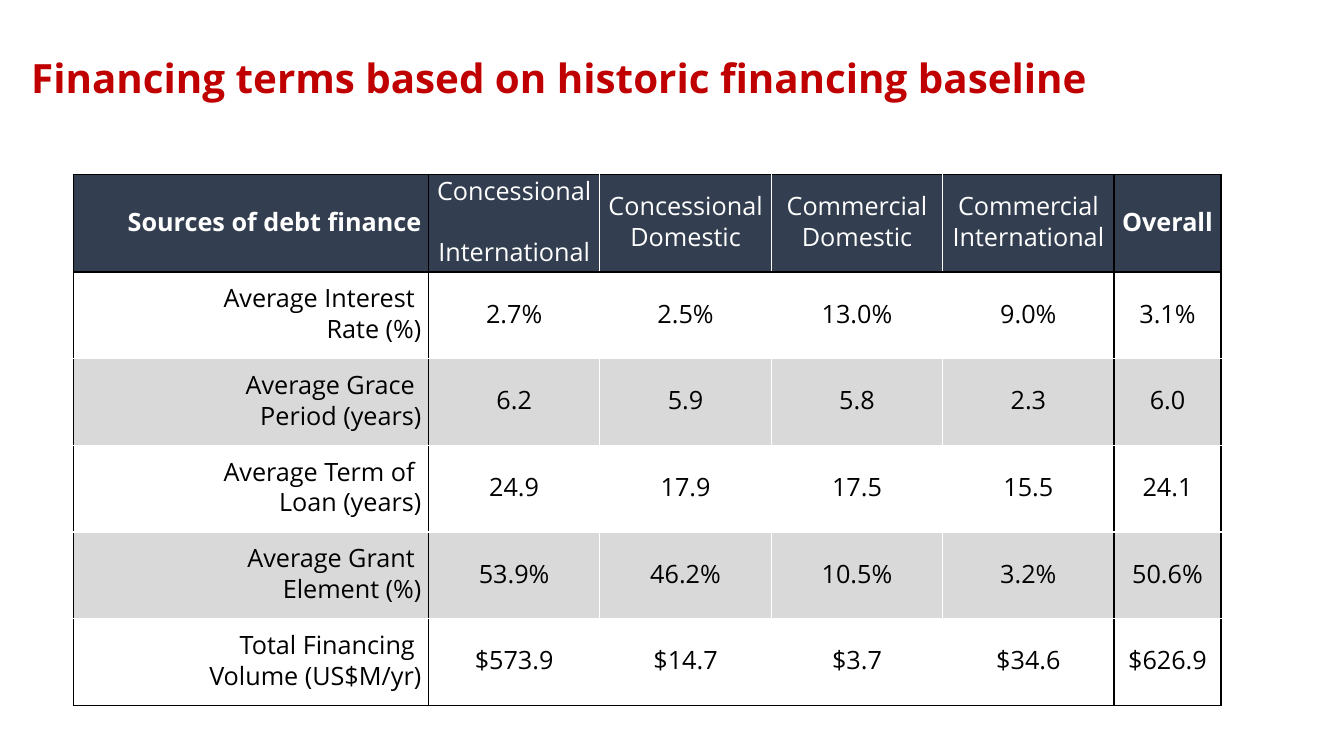
from lxml.etree import SubElement
from pptx import Presentation
from pptx.dml.color import RGBColor
from pptx.enum.text import MSO_ANCHOR as Anchor, PP_ALIGN as Align
from pptx.oxml.ns import qn
from pptx.util import Inches, Pt

RED = RGBColor(0xC0, 0x00, 0x00)
NAVY = RGBColor(0x33, 0x3F, 0x50)
GREY = RGBColor(0xD9, 0xD9, 0xD9)
WHITE = RGBColor(0xFF, 0xFF, 0xFF)
BLACK = RGBColor(0x00, 0x00, 0x00)


def write(frame, text, size=18, color=BLACK, bold=False, align=Align.CENTER, space=Pt(21.8)):
    para = frame.paragraphs[0]
    para.alignment = align
    para.line_spacing = space
    for i, line in enumerate(text.split("|")):
        if i:
            para.add_line_break()
        if line:
            run = para.add_run()
            run.text = line
            run.font.name = "Open Sans"
            run.font.size = Pt(size)
            run.font.bold = bold
            run.font.color.rgb = color


def border(cell, side, color):
    line = SubElement(cell._tc.get_or_add_tcPr(), qn("a:ln" + side), w=str(Pt(1)))
    fill = SubElement(line, qn("a:solidFill"))
    SubElement(fill, qn("a:srgbClr"), val=str(color))


deck = Presentation()
deck.slide_width = Inches(13.33)
deck.slide_height = Inches(7.5)
slide = deck.slides.add_slide(deck.slide_layouts[5])

title = slide.shapes.title
title.left, title.top = Inches(0.21), Inches(0.4)
title.width, title.height = Inches(11.5), Inches(0.79)
title.text_frame.vertical_anchor = Anchor.MIDDLE
write(title.text_frame, "Financing terms based on historic financing baseline",
      size=28.8, color=RED, bold=True, align=Align.LEFT, space=0.9)

terms = [
    ["Sources of debt finance", "Concessional||International", "Concessional Domestic",
     "Commercial Domestic", "Commercial International", "Overall"],
    ["Average Interest |Rate (%)", "2.7%", "2.5%", "13.0%", "9.0%", "3.1%"],
    ["Average Grace |Period (years)", "6.2", "5.9", "5.8", "2.3", "6.0"],
    ["Average Term of |Loan (years)", "24.9", "17.9", "17.5", "15.5", "24.1"],
    ["Average Grant |Element (%)", "53.9%", "46.2%", "10.5%", "3.2%", "50.6%"],
    ["Total Financing |Volume (US$M/yr)", "$573.9", "$14.7", "$3.7", "$34.6", "$626.9"],
]
widths = [3.52] + [1.7] * 4 + [1.06]
heights = [0.48] + [0.86] * 5
rows, cols = len(heights), len(widths)
table = slide.shapes.add_table(rows, cols, Inches(0.73), Inches(1.73),
                               Inches(sum(widths)), Inches(sum(heights))).table
for col, width in zip(table.columns, widths):
    col.width = Inches(width)
for row, height in zip(table.rows, heights):
    row.height = Inches(height)

across = [BLACK, BLACK] + [WHITE] * 4 + [BLACK]
down = [BLACK, BLACK] + [WHITE] * 3 + [BLACK, BLACK]
fills = [NAVY, WHITE, GREY, WHITE, GREY, WHITE]
for r, row in enumerate(terms):
    for c, text in enumerate(row):
        cell = table.cell(r, c)
        cell.vertical_anchor = Anchor.MIDDLE
        cell.margin_left = cell.margin_right = Inches(0.07)
        cell.margin_top = cell.margin_bottom = Inches(0.03)
        edges = [("L", down[c]), ("R", down[c + 1]), ("T", across[r]), ("B", across[r + 1])]
        for side, color in edges:
            border(cell, side, color)
        cell.fill.solid()
        cell.fill.fore_color.rgb = fills[r]
        write(cell.text_frame, text, color=BLACK if r else WHITE,
              bold=r == 0 and c in (0, cols - 1),
              align=Align.CENTER if c else Align.RIGHT)

deck.save("out.pptx")
